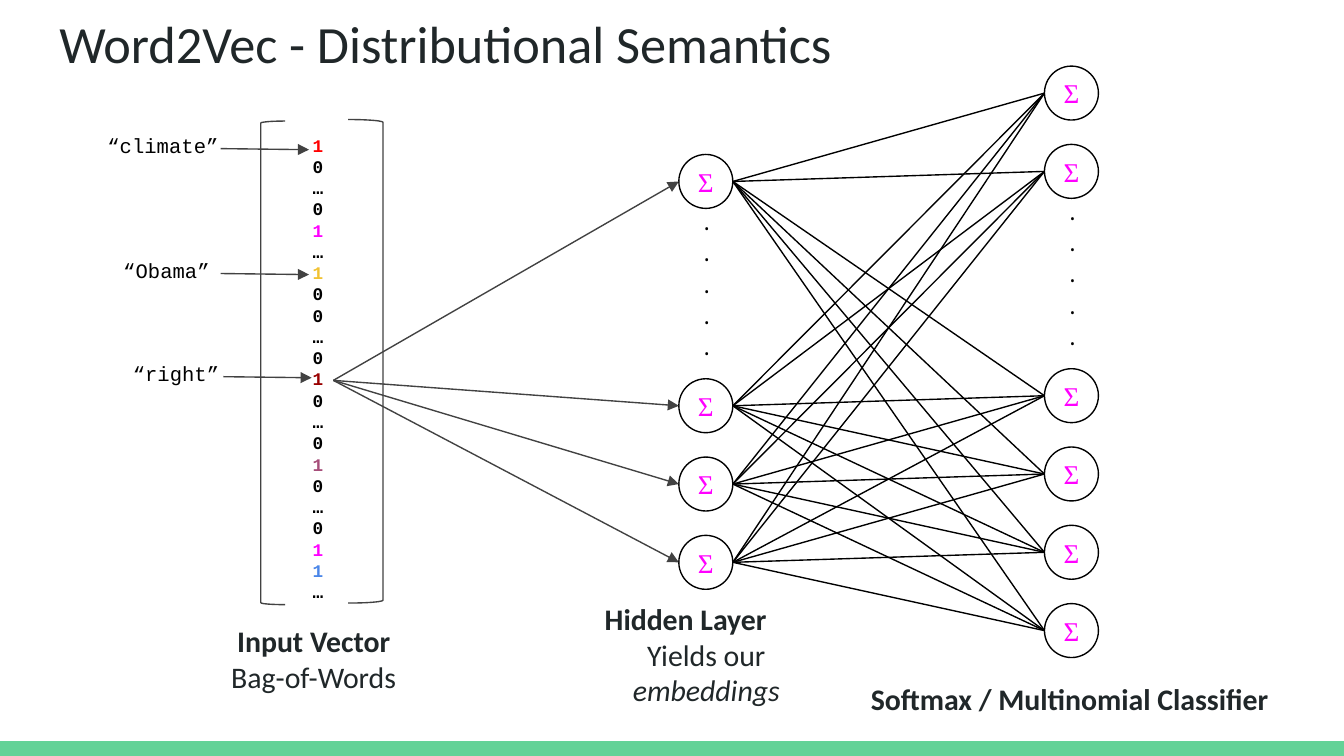
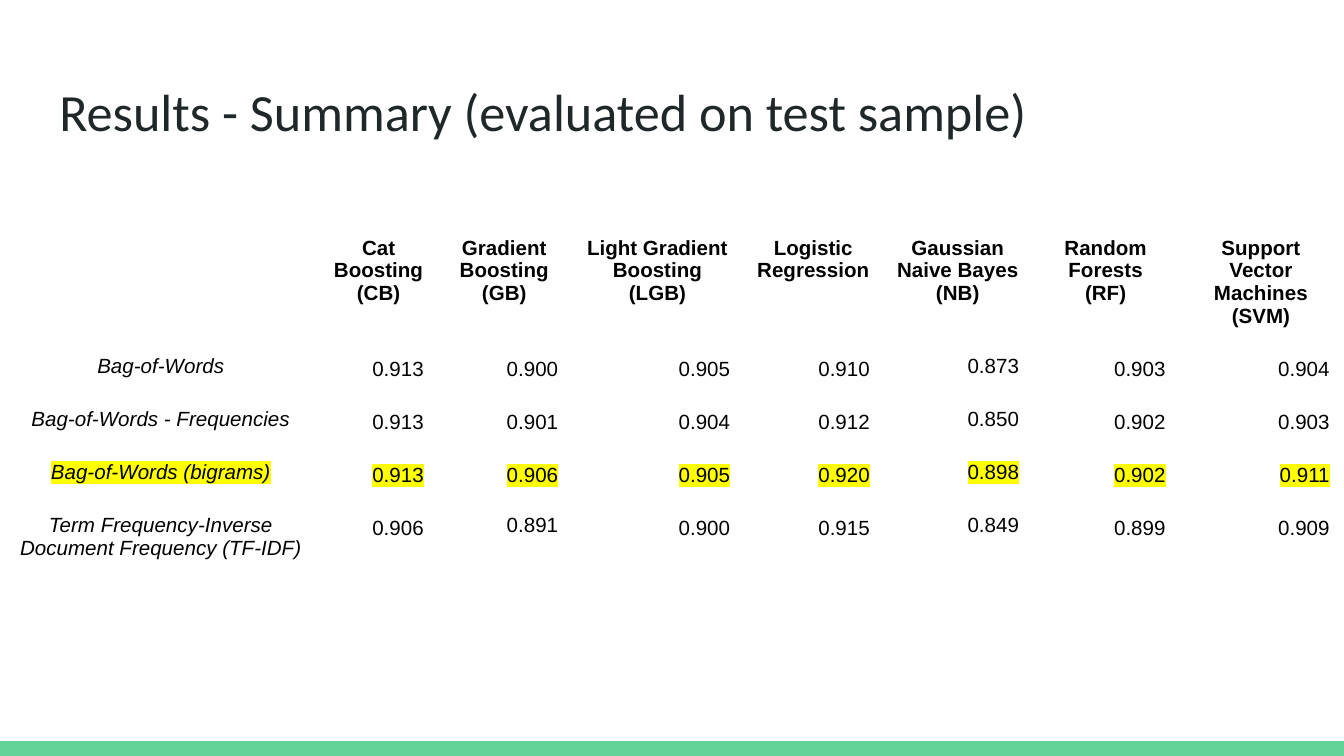
from dataclasses import dataclass
from itertools import product

from lxml.etree import SubElement
from pptx import Presentation
from pptx.dml.color import RGBColor as Rgb
from pptx.enum.shapes import MSO_CONNECTOR as Link, MSO_SHAPE as Preset
from pptx.enum.text import MSO_ANCHOR as Anchor, MSO_AUTO_SIZE as AutoSize, PP_ALIGN as Align
from pptx.oxml.ns import qn
from pptx.util import Cm, Pt


@dataclass(frozen=True)
class Theme:
    ink: str = "202729"
    black: str = "000000"
    white: str = "FFFFFF"
    band: str = "63D297"
    arrow: str = "424242"
    sigma: str = "FF00FF"
    marker: str = "FFFF00"
    heading: str = "Calibri"
    mono: str = "Courier New"
    table: str = "Arial"
    symbol: str = "Times New Roman"
    dots: str = "Cambria"
    title_size: float = 28
    caption_size: float = 16
    sigma_size: float = 14.5
    dots_size: float = 14
    body_size: float = 11
    vector_size: float = 9.5
    line_width: float = 0.75


THEME = Theme()
SLIDE_W, SLIDE_H, BAND_H = 25.4, 14.29, 0.28
INSET = 0.25
NODE, NODE_STEP, LAYER_GAP = 1.02, 1.48, 4.24
HIDDEN_LEFT, OUTPUT_LEFT = 12.83, 19.74
VECTOR_TIP = (6.3, 7.19)

WORDS = [
    ("“climate”", 1.78, 2.26, 4.17),
    ("“Obama”", 2.08, 4.62, 4.17),
    ("“right”", 2.26, 6.57, 4.22),
]
VECTOR = "1 0 … 0 1 … 1 0 0 … 0 1 0 … 0 1 0 … 0 1 1 …".split()
ONE_COLOURS = ["FF0000", "FF00FF", "F1C232", "990000", "A64D79", "FF00FF", "4A86E8"]

MODELS = [
    "Cat Boosting (CB)", "Gradient Boosting (GB)", "Light Gradient Boosting (LGB)",
    "Logistic Regression", "Gaussian Naive Bayes (NB)", "Random Forests (RF)",
    "Support Vector Machines (SVM)",
]
SCORES = {
    "Bag-of-Words": "0.913 0.900 0.905 0.910 0.873 0.903 0.904",
    "Bag-of-Words - Frequencies": "0.913 0.901 0.904 0.912 0.850 0.902 0.903",
    "Bag-of-Words (bigrams)": "0.913 0.906 0.905 0.920 0.898 0.902 0.911",
    "Term Frequency-Inverse Document Frequency (TF-IDF)":
        "0.906 0.891 0.900 0.915 0.849 0.899 0.909",
}
BEST_FEATURES = "Bag-of-Words (bigrams)"
SINGLE_SPACED = {"0.873", "0.850", "0.898", "0.849", "0.891"}
COLUMN_WIDTHS = [6.02, 2.21, 2.54, 3.25, 2.64, 2.82, 2.77, 3.1]
ROW_HEIGHTS = [2.24, 1, 1, 1, 1.4]


def style(run, font, size, colour, bold=False, italic=False):
    run.font.name, run.font.size = font, Pt(size)
    run.font.color.rgb = Rgb.from_string(colour)
    run.font.bold, run.font.italic = bold, italic


def highlight(run, colour):
    marker = SubElement(run.font._element, qn("a:highlight"))
    SubElement(marker, qn("a:srgbClr")).set("val", colour)
    run.font._element.find(qn("a:latin")).addprevious(marker)


def set_frame(frame, inset=INSET, anchor=Anchor.TOP):
    frame.word_wrap, frame.auto_size = True, AutoSize.NONE
    frame.vertical_anchor = anchor
    frame.margin_left = frame.margin_right = Cm(inset)
    frame.margin_top = frame.margin_bottom = Cm(inset)


def add_text(slide, text, left, top, width, height, font, size, colour=THEME.black, bold=False):
    frame = slide.shapes.add_textbox(Cm(left), Cm(top), Cm(width), Cm(height)).text_frame
    set_frame(frame)
    frame.text = text
    for paragraph in frame.paragraphs:
        style(paragraph.runs[0], font, size, colour, bold)
    return frame.paragraphs


def add_preset(slide, preset, left, top, width, height, fill=None, line=None):
    shape = slide.shapes.add_shape(preset, Cm(left), Cm(top), Cm(width), Cm(height))
    shape.shadow.inherit = False
    if fill:
        shape.fill.solid()
        shape.fill.fore_color.rgb = Rgb.from_string(fill)
    else:
        shape.fill.background()
    if line:
        shape.line.color.rgb = Rgb.from_string(line)
        shape.line.width = Pt(THEME.line_width)
    else:
        shape.line.fill.background()
    return shape


def add_line(slide, start, end, colour=THEME.black, arrow=False):
    link = slide.shapes.add_connector(Link.STRAIGHT, *(Cm(value) for value in (*start, *end)))
    link.line.color.rgb = Rgb.from_string(colour)
    link.line.width = Pt(THEME.line_width)
    if arrow:
        SubElement(link.line._get_or_add_ln(), qn("a:tailEnd")).set("type", "triangle")
    SubElement(link._element.spPr, qn("a:effectLst"))


def add_titled_slide(deck, title, top):
    slide = deck.slides.add_slide(deck.slide_layouts[5])
    add_preset(slide, Preset.RECTANGLE, 0, SLIDE_H - BAND_H, SLIDE_W, BAND_H, THEME.band)
    heading = slide.shapes.title
    heading.left, heading.top = Cm(0.87), Cm(top)
    heading.width, heading.height = Cm(23.67), Cm(1.6)
    set_frame(heading.text_frame)
    heading.text_frame.text = title
    paragraph = heading.text_frame.paragraphs[0]
    paragraph.alignment = Align.LEFT
    style(paragraph.runs[0], THEME.heading, THEME.title_size, THEME.ink)
    return slide


def add_caption(slide, text, left, top, width):
    return add_text(slide, text, left, top, width, 1.14,
                    THEME.heading, THEME.caption_size, THEME.ink, bold=True)


def add_node(slide, left, centre):
    node = add_preset(slide, Preset.OVAL, left, centre - NODE / 2, NODE, NODE,
                      THEME.white, THEME.black)
    set_frame(node.text_frame, 0, Anchor.MIDDLE)
    node.text_frame.text = "Σ"
    paragraph = node.text_frame.paragraphs[0]
    paragraph.alignment = Align.CENTER
    style(paragraph.runs[0], THEME.symbol, THEME.sigma_size, THEME.sigma)


def add_layer(slide, left, first, above, below):
    last_above = first + (above - 1) * NODE_STEP
    centres = [first + i * NODE_STEP for i in range(above)]
    centres += [last_above + LAYER_GAP + i * NODE_STEP for i in range(below)]
    for centre in centres:
        add_node(slide, left, centre)
    add_text(slide, "\n".join("." * 5), left + 0.23, last_above + 0.18, 1.4, 1.4,
             THEME.dots, THEME.dots_size)
    return centres


def add_input_vector(slide):
    digits = add_text(slide, "\n".join(VECTOR), 5.66, 2.29, 1.12, 9.12,
                      THEME.mono, THEME.vector_size, bold=True)
    colours = iter(ONE_COLOURS)
    for paragraph in digits:
        paragraph.line_spacing = Pt(11.4)
        if paragraph.text == "1":
            paragraph.runs[0].font.color.rgb = Rgb.from_string(next(colours))
    for preset, left, top, width in [(Preset.LEFT_BRACKET, 4.93, 2.29, 0.46),
                                     (Preset.RIGHT_BRACKET, 6.58, 2.26, 0.66)]:
        bracket = add_preset(slide, preset, left, top, width, 9.14, line=THEME.arrow)
        bracket.adjustments[0] = 0.08
    for word, left, top, arrow_left in WORDS:
        add_text(slide, word, left, top, 2.67, 1.4, THEME.mono, THEME.body_size)
        add_line(slide, (arrow_left, top + 0.55), (arrow_left + 1.67, top + 0.57),
                 THEME.arrow, arrow=True)


def add_captions(slide):
    hidden = add_caption(slide, "Hidden Layer\nYields our ", 11.18, 11.1, 4.34)[1]
    hidden.alignment = Align.CENTER
    hidden.runs[0].font.bold = False
    embeddings = hidden.add_run()
    embeddings.text = "embeddings"
    style(embeddings, THEME.heading, THEME.caption_size, THEME.ink, italic=True)
    add_caption(slide, "Softmax / Multinomial Classifier", 16.21, 12.62, 8.81)
    vector = add_caption(slide, "Input Vector\nBag-of-Words", 3.76, 11.53, 4.34)
    for paragraph in vector:
        paragraph.alignment = Align.CENTER
    vector[1].runs[0].font.bold = False


def build_network(deck):
    slide = add_titled_slide(deck, "Word2Vec - Distributional Semantics", -0.03)
    add_input_vector(slide)
    hidden = add_layer(slide, HIDDEN_LEFT, 3.43, above=1, below=3)
    output = add_layer(slide, OUTPUT_LEFT, 1.76, above=2, below=4)
    for centre in hidden:
        add_line(slide, VECTOR_TIP, (HIDDEN_LEFT, centre), THEME.arrow, arrow=True)
    for start, end in product(hidden, output):
        add_line(slide, (HIDDEN_LEFT + NODE, start), (OUTPUT_LEFT, end))
    add_captions(slide)


def fill_cell(cell, text, align, bold=False, italic=False, marked=False, spacing=None):
    cell.text = text
    paragraph = cell.text_frame.paragraphs[0]
    paragraph.alignment, paragraph.line_spacing = align, spacing
    style(paragraph.runs[0], THEME.table, THEME.body_size, THEME.black, bold, italic)
    if marked:
        highlight(paragraph.runs[0], THEME.marker)


def build_results(deck):
    slide = add_titled_slide(deck, "Results - Summary (evaluated on test sample)", 1.24)
    results = slide.shapes.add_table(
        len(ROW_HEIGHTS), len(COLUMN_WIDTHS), Cm(0.03), Cm(4.22),
        Cm(sum(COLUMN_WIDTHS)), Cm(sum(ROW_HEIGHTS))).table
    results.first_row = results.horz_banding = False
    for column, width in zip(results.columns, COLUMN_WIDTHS):
        column.width = Cm(width)
    for row, height in zip(results.rows, ROW_HEIGHTS):
        row.height = Cm(height)
    for cell in results.iter_cells():
        cell.fill.background()
        cell.margin_left = cell.margin_right = Cm(INSET)
        cell.margin_top = cell.margin_bottom = Cm(INSET)
    for column, model in enumerate(MODELS, 1):
        fill_cell(results.cell(0, column), model, Align.CENTER, bold=True)
    for row, (features, scores) in enumerate(SCORES.items(), 1):
        marked = features == BEST_FEATURES
        fill_cell(results.cell(row, 0), features, Align.CENTER, italic=True, marked=marked)
        for column, score in enumerate(scores.split(), 1):
            spacing = None if score in SINGLE_SPACED else 1.15
            fill_cell(results.cell(row, column), score, Align.RIGHT,
                      marked=marked, spacing=spacing)


def main():
    deck = Presentation()
    deck.slide_width, deck.slide_height = Cm(SLIDE_W), Cm(SLIDE_H)
    build_network(deck)
    build_results(deck)
    deck.save("out.pptx")


if __name__ == "__main__":
    main()
